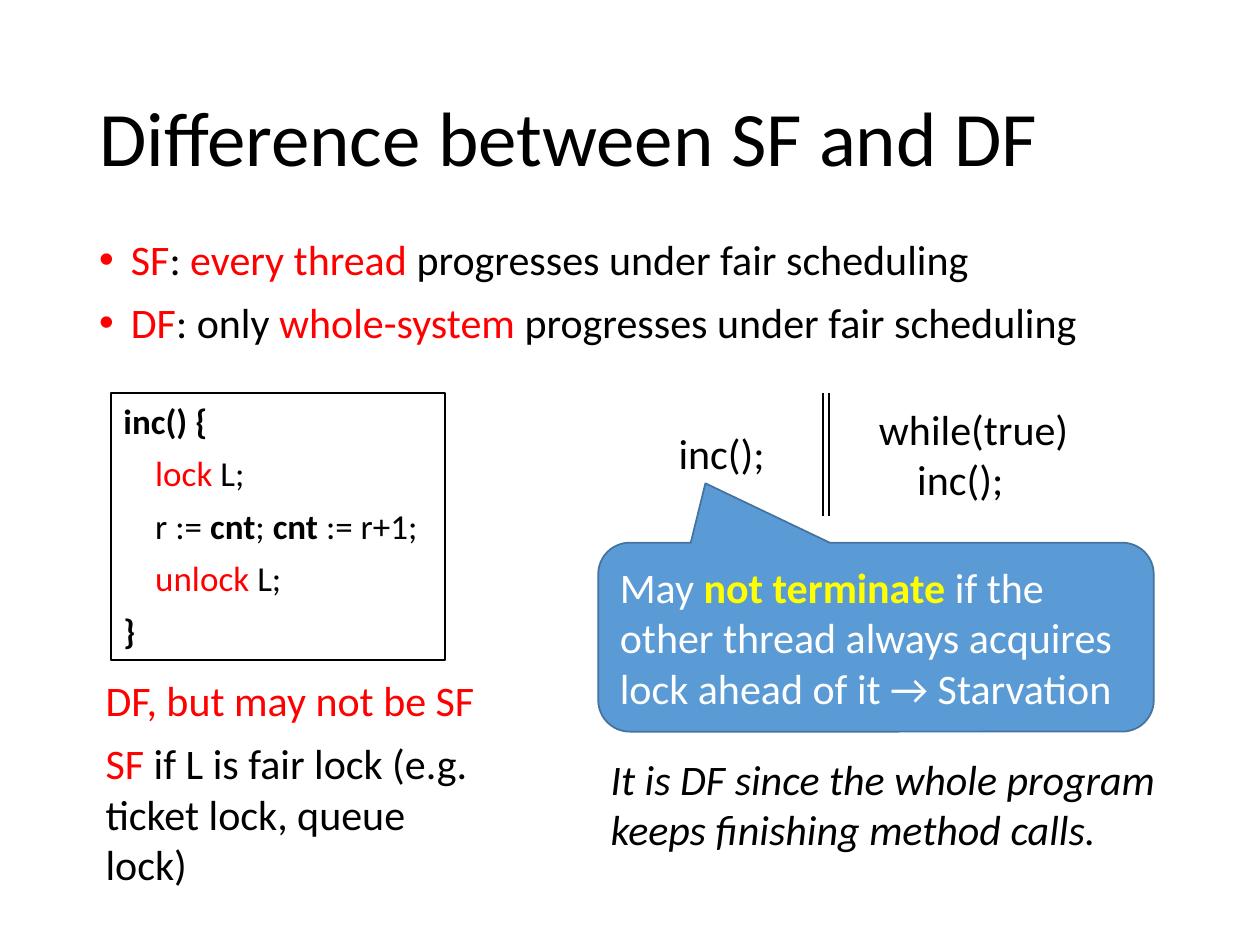
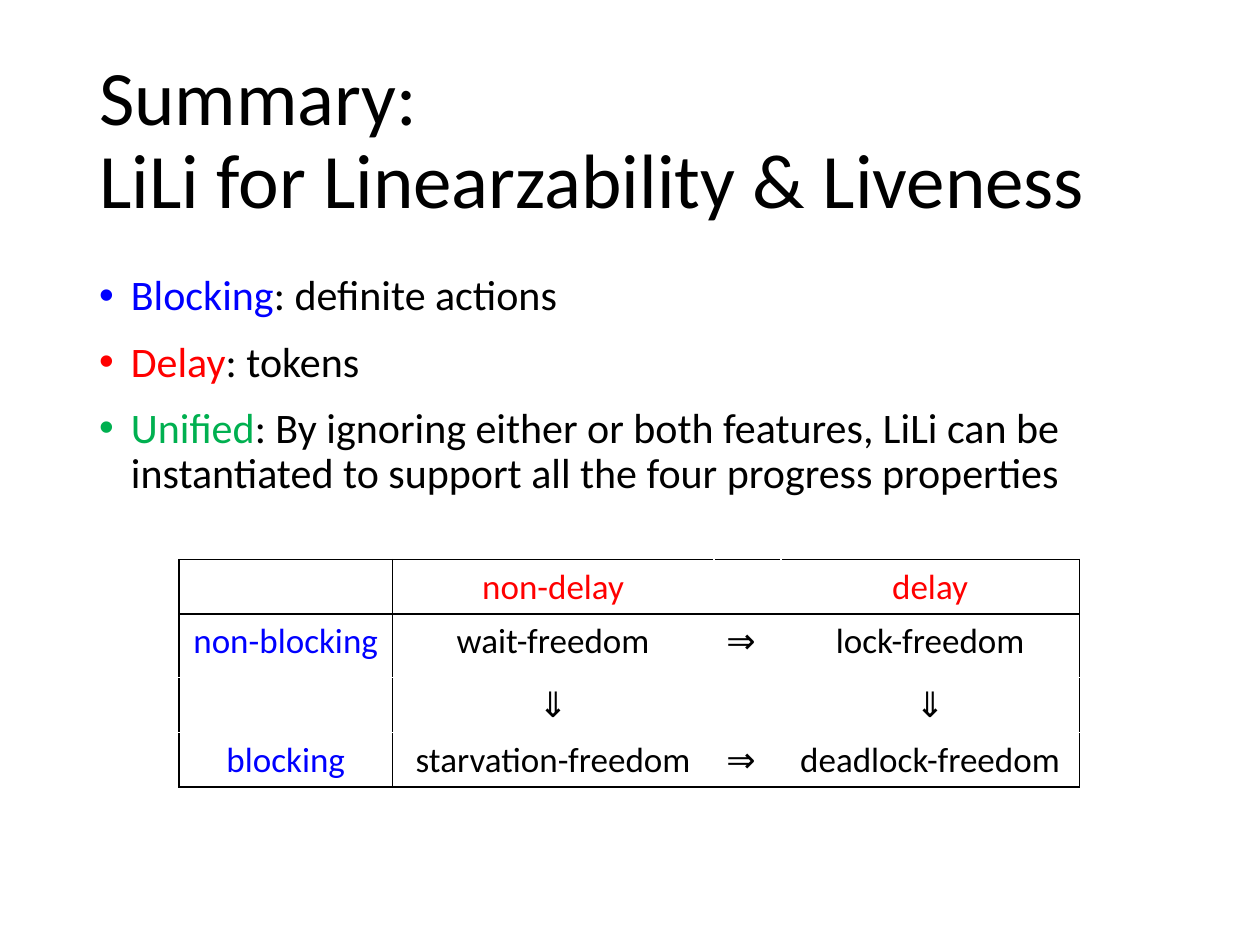
import collections

import pptx
import pptx.dml.color
import pptx.enum.shapes
import pptx.enum.text
import pptx.oxml
import pptx.oxml.ns
import pptx.util
from lxml import etree

Cm = pptx.util.Cm
Pt = pptx.util.Pt
SHAPES = pptx.enum.shapes.MSO_SHAPE
ALIGN = pptx.enum.text.PP_ALIGN
ANCHOR = pptx.enum.text.MSO_ANCHOR
Box = collections.namedtuple("Box", "left top width height")

FONT = "Calibri"
BLACK, WHITE, YELLOW = "000000", "FFFFFF", "FFFF00"
RED, BLUE, GREEN = "FF0000", "0000FF", "00B050"
CALLOUT_FILL, CALLOUT_LINE = "5B9BD5", "43739E"
TITLE_BOX = Box(1.75, 1.02, 21.9, 3.68)


def rgb(value):
    """Turn a hex string into a colour."""
    return pptx.dml.color.RGBColor.from_string(value)


def inside(box, left, top, width, height):
    """Place a smaller box by its offset within a region."""
    return Box(box.left + left, box.top + top, width, height)


def add_child(parent, tag, **attributes):
    """Append a drawing element with attributes."""
    child = etree.SubElement(parent, pptx.oxml.ns.qn(tag))
    for name, value in attributes.items():
        child.set(name, str(value))
    return child


def add_bullet(para, colour):
    """Give a paragraph a hanging round bullet."""
    properties = para._p.get_or_add_pPr()
    properties.set("marL", str(Cm(0.64)))
    properties.set("indent", str(-Cm(0.64)))
    add_child(add_child(properties, "a:buClr"), "a:srgbClr", val=colour)
    add_child(properties, "a:buFont", typeface="Arial")
    add_child(properties, "a:buChar", char="•")


def write(frame, paragraphs, size=24, colour=BLACK, italic=False, align=ALIGN.LEFT,
          anchor=ANCHOR.TOP, wrap=True, spacing=None, before=0, bullets=False, indents=()):
    """Fill a frame with paragraphs of (text, colour, bold) spans."""
    frame.word_wrap = wrap
    frame.vertical_anchor = anchor
    for number, spans in enumerate(paragraphs):
        para = frame.add_paragraph() if number else frame.paragraphs[0]
        para.alignment = align
        if spacing:
            para.line_spacing = spacing
        para.space_before = Pt(before if number else 0)
        if bullets:
            add_bullet(para, spans[0][1])
        elif indents:
            para._p.get_or_add_pPr().set("marL", str(Cm(indents[number])))
        for text, *look in spans:
            for piece_number, piece in enumerate(text.split("\n")):
                if piece_number:
                    para.add_line_break()
                span = para.add_run()
                span.text = piece
                span.font.name = FONT
                span.font.size = Pt(size)
                span.font.italic = italic
                span.font.color.rgb = rgb(look[0] if look else colour)
                span.font.bold = len(look) > 1 and look[1]


def add_text(page, box, paragraphs, **look):
    """Add a text box."""
    frame = page.shapes.add_textbox(*map(Cm, box)).text_frame
    write(frame, paragraphs, **look)


def add_panel(page, kind, box, line, fill=None):
    """Add an outlined preset shape."""
    shape = page.shapes.add_shape(kind, *map(Cm, box))
    shape.shadow.inherit = False
    if fill:
        shape.fill.solid()
        shape.fill.fore_color.rgb = rgb(fill)
    else:
        shape.fill.background()
    shape.line.color.rgb = rgb(line)
    shape.line.width = Pt(1)
    return shape


def add_title(page, title):
    """Add the slide title."""
    add_text(page, TITLE_BOX, [[(title,)]], size=44, anchor=ANCHOR.MIDDLE, spacing=0.9)


def add_points(page, box, points, before):
    """Add the bulleted points under the title."""
    add_text(page, box, points, spacing=0.9, before=before, bullets=True)


def add_counter(page, box):
    """Show the lock-based counter and its progress property."""
    code = add_panel(page, SHAPES.RECTANGLE, inside(box, 0.36, 0, 6.73, 5.38), BLACK)
    write(code.text_frame, [
        [("inc() {", BLACK, True)],
        [("lock", RED), (" L;",)],
        [("r := ",), ("cnt", BLACK, True), ("; ",), ("cnt", BLACK, True), (" := r+1;",)],
        [("unlock", RED), (" L;",)],
        [("}", BLACK, True)],
    ], size=20, before=6, indents=(0, 0.64, 0.64, 0.64, 0))
    add_text(page, inside(box, 0, 5.56, 8.53, 1.27), [[("DF, but may not be SF", RED)]])
    add_text(page, inside(box, 0, 6.83, 8.28, 2.31),
             [[("SF ", RED), ("if L is fair lock (e.g. ticket lock, queue lock)",)]])


def add_threads(page, box):
    """Show two parallel threads, the starvation callout and the conclusion."""
    for offset in (4.53, 4.65):
        bar_x = Cm(box.left + offset)
        bar = page.shapes.add_connector(
            pptx.enum.shapes.MSO_CONNECTOR.STRAIGHT,
            bar_x, Cm(box.top), bar_x, Cm(box.top + 2.49))
        bar.line.color.rgb = rgb(BLACK)
        bar.line.width = Pt(0.75)
        add_child(bar._element.spPr, "a:effectLst")
    add_text(page, inside(box, 5.41, 0.08, 4.37, 2.31),
             [[("while(true)",)], [("inc();",)]], wrap=False, indents=(0, 0.77))
    add_text(page, inside(box, 1.37, 0.58, 2.26, 1.27), [[("inc();",)]], wrap=False)
    callout = add_panel(page, SHAPES.ROUNDED_RECTANGULAR_CALLOUT,
                        inside(box, 0, 3.02, 11.2, 3.81), CALLOUT_LINE, CALLOUT_FILL)
    for number, value in enumerate((-0.307, -0.814, 0.167)):
        callout.adjustments[number] = value
    write(callout.text_frame, [[
        ("May ",), ("not terminate ", YELLOW, True),
        ("if the other thread always acquires lock ahead of it → Starvation",),
    ]], colour=WHITE, anchor=ANCHOR.MIDDLE)
    add_text(page, inside(box, 0, 7.14, 12.07, 2.31),
             [[("It is DF since the whole program keeps finishing method calls.",)]], italic=True)


def add_border(cell, side, colour):
    """Draw one side of a cell."""
    line = add_child(cell._tc.get_or_add_tcPr(), f"a:ln{side}", w=Pt(1))
    add_child(add_child(line, "a:solidFill"), "a:srgbClr", val=colour)


def add_properties(page, box):
    """Tabulate the four progress properties."""
    rows = (
        ("", "non-delay", "", "delay"),
        ("non-blocking", "wait-freedom", "⇒", "lock-freedom"),
        ("", "⇓", "", "⇓"),
        ("blocking", "starvation-freedom", "⇒", "deadlock-freedom"),
    )
    table_frame = page.shapes.add_table(len(rows), len(rows[0]), *map(Cm, box))
    table = table_frame.table
    for column, width in zip(table.columns, (4.3, 6.48, 1.35, 6.02)):
        column.width = Cm(width)
    for row, height in zip(table.rows, (1.05, 1.28, 1.03, 1.05)):
        row.height = Cm(height)
    for r, texts in enumerate(rows):
        for c, text in enumerate(texts):
            cell = table.cell(r, c)
            dark_sides = {"L": c < 2, "R": c in (0, 3), "T": r < 2, "B": r in (0, 3)}
            for side, dark in dark_sides.items():
                add_border(cell, side, BLACK if dark else WHITE)
            cell.fill.background()
            if text:
                write(cell.text_frame, [[(text,)]], size=20,
                      colour=RED if r == 0 else BLUE if c == 0 else BLACK,
                      align=ALIGN.LEFT if c == 2 else ALIGN.CENTER)


def build_difference(page):
    """Build the slide that contrasts SF and DF."""
    add_title(page, "Difference between SF and DF")
    add_points(page, Box(1.75, 4.7, 21.9, 12.09), [
        [("SF", RED), (": ",), ("every thread ", RED), ("progresses under fair scheduling",)],
        [("DF", RED), (": only ",), ("whole-system ", RED),
         ("progresses under fair scheduling",)],
    ], before=10)
    add_counter(page, Box(1.88, 7.92, 8.53, 9.14))
    add_threads(page, Box(12.06, 7.92, 12.07, 9.45))


def build_summary(page):
    """Build the summary slide."""
    add_title(page, "Summary: \nLiLi for Linearzability & Liveness")
    add_points(page, Box(1.75, 5.41, 21.9, 11.76), [
        [("Blocking", BLUE), (": definite actions",)],
        [("Delay", RED), (": tokens",)],
        [("Unified", GREEN), (": By ignoring either or both features, LiLi can be "
                              "instantiated to support all the four progress properties",)],
    ], before=12)
    add_properties(page, Box(3.61, 11.28, 18.15, 4.41))


def main():
    """Build and save the deck."""
    deck = pptx.Presentation()
    deck.slide_width, deck.slide_height = Cm(25.4), Cm(19.05)
    for build in (build_difference, build_summary):
        build(deck.slides.add_slide(deck.slide_layouts[6]))
    deck.save("out.pptx")


if __name__ == "__main__":
    main()
